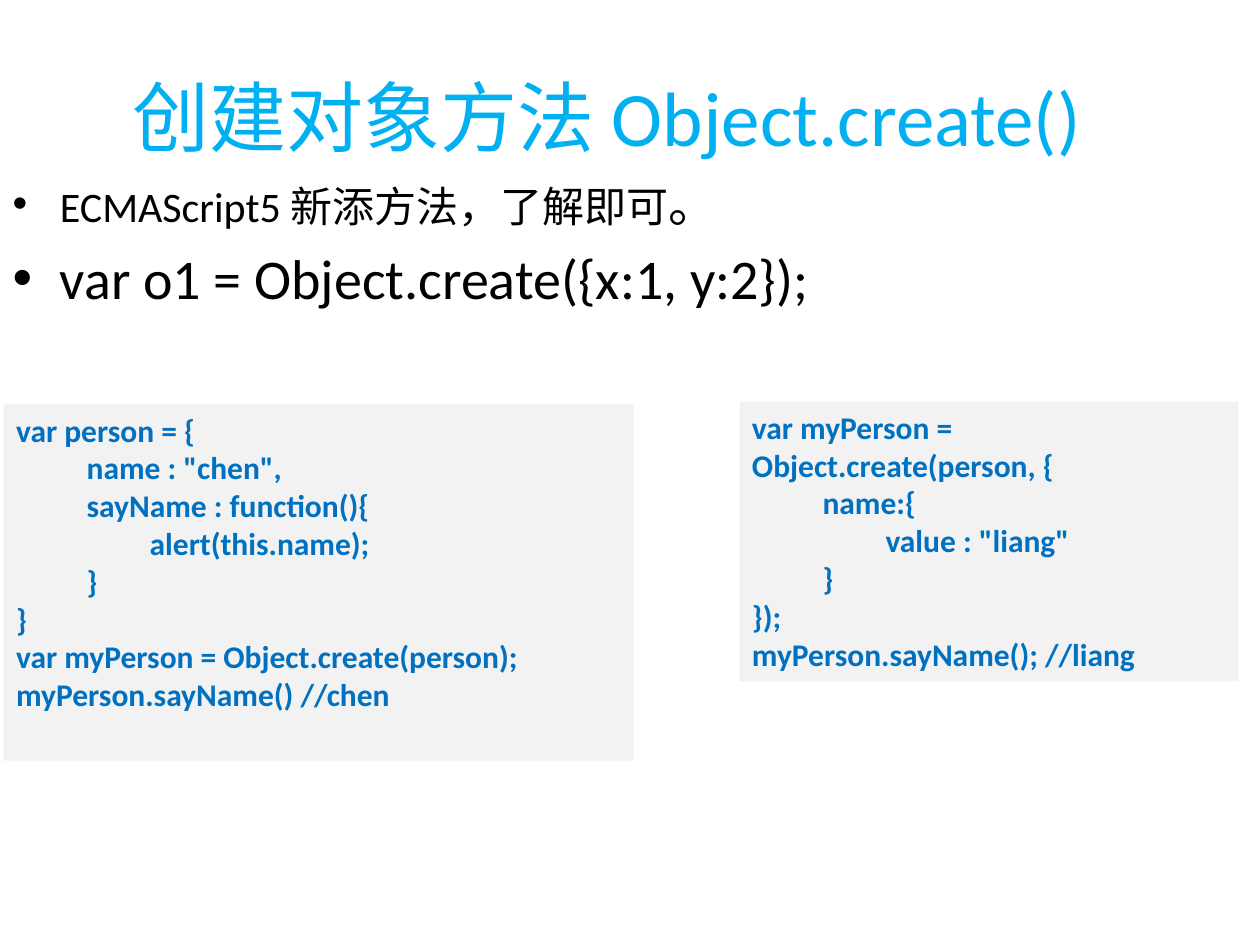
from dataclasses import dataclass

import pptx
import pptx.dml.color
import pptx.enum.shapes
import pptx.enum.text
import pptx.util


@dataclass(frozen=True)
class Theme:
    """Colours, font and type sizes of the slide."""
    font: str = "Calibri"
    title: str = "00B0F0"
    body: str = "000000"
    code: str = "0070C0"
    panel: str = "F2F2F2"
    title_size: int = 44
    lead_size: int = 24
    stop_size: int = 28
    example_size: int = 32
    code_size: int = 18


@dataclass(frozen=True)
class Box:
    """A rectangle in shares of the slide's width and height."""
    left: float
    top: float
    width: float
    height: float


@dataclass(frozen=True)
class CodePanel:
    """A filled panel holding lines of (indent level, code)."""
    box: Box
    lines: tuple[tuple[int, str], ...]


THEME = Theme()
WIDTH, HEIGHT = pptx.util.Inches(10), pptx.util.Inches(7.5)
INDENTS = (0, 0.56, 1.06)

TITLE_BOX = Box(-0.059, 0.064, 1.095, 0.116)
BODY_BOX = Box(0, 0.177, 1, 0.796)
BULLETS = (
    (("ECMAScript5 新添方法，了解即可", THEME.lead_size), ("。", THEME.stop_size)),
    (("var o1 = Object.create({x:1, y:2});", THEME.example_size),),
)
PANELS = (
    CodePanel(Box(0.587, 0.425, 0.396, 0.296), (
        (0, "var myPerson = Object.create(person, {"),
        (1, "name:{"),
        (2, 'value : "liang"'),
        (1, "}"),
        (0, "});"),
        (0, "myPerson.sayName(); //liang"),
    )),
    CodePanel(Box(0.003, 0.428, 0.5, 0.377), (
        (0, "var person = {"),
        (1, 'name : "chen",'),
        (1, "sayName : function(){"),
        (2, "alert(this.name);"),
        (1, "}"),
        (0, "}"),
        (0, "var myPerson = Object.create(person);"),
        (0, "myPerson.sayName() //chen"),
    )),
)


def rgb(value: str) -> pptx.dml.color.RGBColor:
    """Turn a hex string into a colour."""
    return pptx.dml.color.RGBColor.from_string(value)


def frame(box: Box) -> dict[str, int]:
    """Convert slide shares to lengths."""
    return {
        "left": round(box.left * WIDTH),
        "top": round(box.top * HEIGHT),
        "width": round(box.width * WIDTH),
        "height": round(box.height * HEIGHT),
    }


def assign(target: object, values: dict) -> None:
    """Set each named attribute of the target."""
    for name, value in values.items():
        setattr(target, name, value)


def add_run(p, text: str, size: int, color: str, bold: bool = False) -> None:
    """Append one formatted run to a paragraph."""
    r = p.add_run()
    r.text = text
    assign(r.font, {"name": THEME.font, "size": pptx.util.Pt(size), "bold": bold})
    r.font.color.rgb = rgb(color)


def next_paragraph(tf, index: int):
    """Return the first paragraph, or a new one after it."""
    return tf.add_paragraph() if index else tf.paragraphs[0]


def fill_title(sp) -> None:
    """Place and write the title."""
    assign(sp, frame(TITLE_BOX))
    tf = sp.text_frame
    assign(tf, {"auto_size": pptx.enum.text.MSO_AUTO_SIZE.NONE,
                "vertical_anchor": pptx.enum.text.MSO_ANCHOR.MIDDLE})
    p = tf.paragraphs[0]
    p.alignment = pptx.enum.text.PP_ALIGN.CENTER
    add_run(p, "创建对象方法 Object.create() ", THEME.title_size, THEME.title)


def fill_body(sp) -> None:
    """Place and write the bulleted list."""
    assign(sp, frame(BODY_BOX))
    tf = sp.text_frame
    tf.auto_size = pptx.enum.text.MSO_AUTO_SIZE.NONE
    for i, runs in enumerate(BULLETS):
        p = next_paragraph(tf, i)
        for text, size in runs:
            add_run(p, text, size, THEME.body)


def add_panel(s, panel: CodePanel) -> None:
    """Draw one code panel with indented lines."""
    sp = s.shapes.add_shape(pptx.enum.shapes.MSO_SHAPE.RECTANGLE, **frame(panel.box))
    sp.shadow.inherit = False
    sp.fill.solid()
    sp.fill.fore_color.rgb = rgb(THEME.panel)
    sp.line.fill.background()
    tf = sp.text_frame
    assign(tf, {"word_wrap": True,
                "vertical_anchor": pptx.enum.text.MSO_ANCHOR.TOP})
    for i, (level, text) in enumerate(panel.lines):
        p = next_paragraph(tf, i)
        p.alignment = pptx.enum.text.PP_ALIGN.LEFT
        if level:
            indent = pptx.util.Inches(INDENTS[level])
            p._p.get_or_add_pPr().set("marL", str(indent))
        add_run(p, text, THEME.code_size, THEME.code, bold=True)


def main() -> None:
    """Build and save the slide."""
    prs = pptx.Presentation()
    assign(prs, {"slide_width": WIDTH, "slide_height": HEIGHT})
    s = prs.slides.add_slide(prs.slide_layouts[1])
    fill_title(s.shapes.title)
    fill_body(s.placeholders[1])
    for panel in PANELS:
        add_panel(s, panel)
    prs.save("out.pptx")


main()
